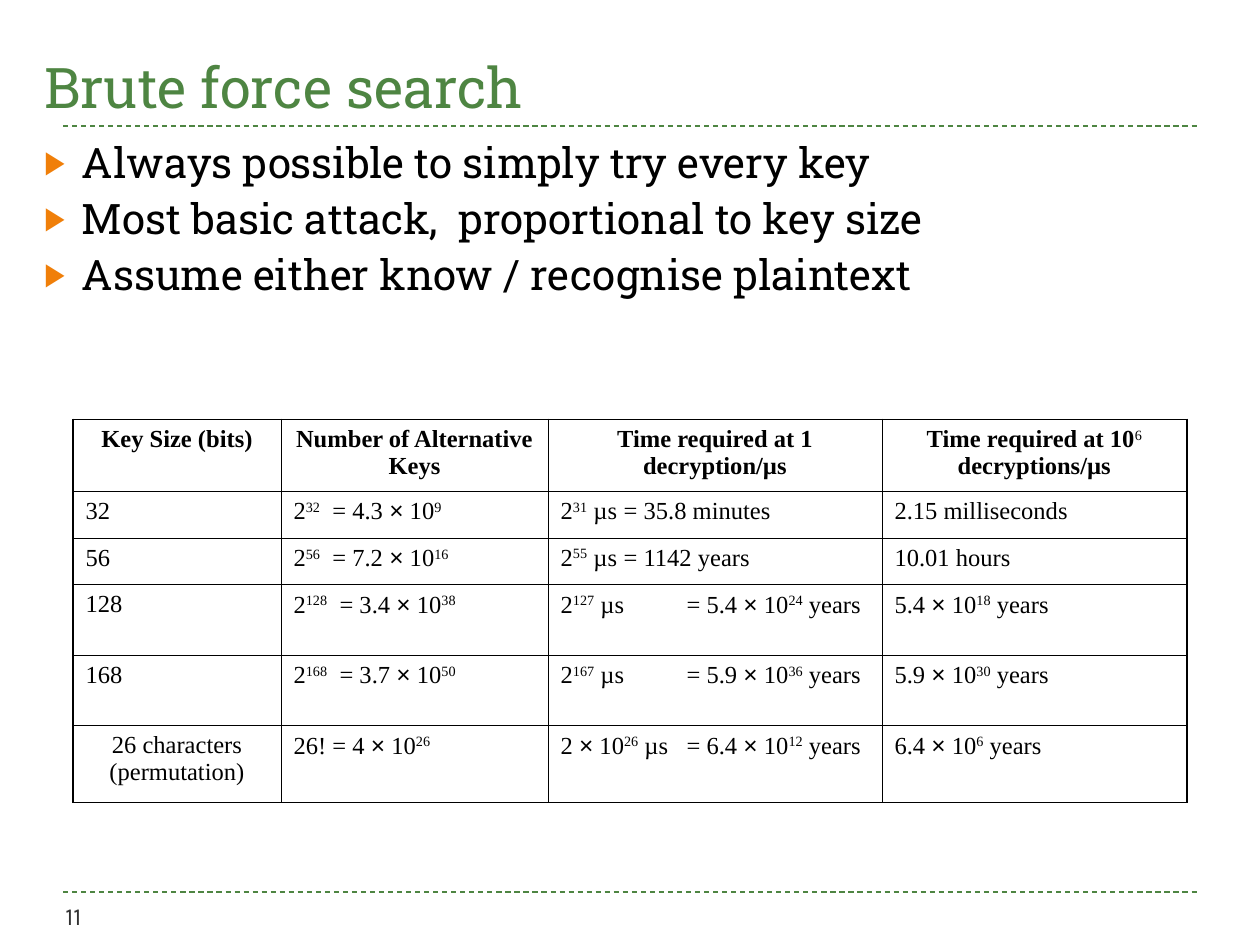
from dataclasses import dataclass

import lxml.etree
import pptx
import pptx.dml.color
import pptx.enum.dml
import pptx.enum.shapes
import pptx.enum.text
import pptx.oxml
import pptx.oxml.ns
import pptx.util
from pptx.util import Inches, Pt

ALIGN = pptx.enum.text.PP_ALIGN
ANCHOR = pptx.enum.text.MSO_ANCHOR


@dataclass(frozen=True)
class Theme:
    green: str = "4E8542"
    orange: str = "F07F09"
    black: str = "000000"
    grey: str = "323232"
    slab: str = "Roboto Slab"
    number_font: str = "Karla"
    table_font: str = "Times New Roman"
    symbol_font: str = "Arial"
    title_size: float = 32
    body_size: float = 24
    small_size: float = 14
    rule_width: float = 0.75
    outer_border: float = 1.08
    inner_border: float = 0.45


THEME = Theme()

BULLETS = [
    "Always possible to simply try every key",
    "Most basic attack,  proportional to key size",
    "Assume either know / recognise plaintext",
]

# Text between two carets is superscript.
KEY_TABLE = [
    ["Key Size (bits)", "Number of Alternative Keys",
     "Time required at 1 decryption/µs", "Time required at 10^6^ decryptions/µs"],
    ["32", "2^32^  = 4.3 × 10^9^", "2^31^ µs\t= 35.8 minutes", "2.15 milliseconds"],
    ["56", "2^56^  = 7.2 × 10^16^", "2^55^ µs\t= 1142 years", "10.01 hours"],
    ["128", "2^128^  = 3.4 × 10^38^", "2^127^ µs\t= 5.4 × 10^24^ years",
     "5.4 × 10^18^ years"],
    ["168", "2^168^  = 3.7 × 10^50^", "2^167^ µs\t= 5.9 × 10^36^ years",
     "5.9 × 10^30^ years"],
    ["26 characters (permutation)", "26! = 4 × 10^26^",
     "2 × 10^26^ µs\t= 6.4 × 10^12^ years", "6.4 × 10^6^ years"],
]
COLUMN_WIDTHS = [1.65, 2.12, 2.65, 2.42]
ROW_HEIGHTS = [0.57, 0.37, 0.37, 0.56, 0.56, 0.61]


def set_format(target, values):
    for name, value in values.items():
        setattr(target, name, value)


def add_run(p, text, font, size, color, bold=False):
    r = p.add_run()
    r.text = text
    set_format(r.font, {"name": font, "size": Pt(size), "bold": bold})
    r.font.color.rgb = pptx.dml.color.RGBColor.from_string(color)
    return r


def place(sp, left, top, width, height):
    set_format(sp, {"left": Inches(left), "top": Inches(top),
                    "width": Inches(width), "height": Inches(height)})


def add_rule(s, y):
    line = s.shapes.add_connector(pptx.enum.shapes.MSO_CONNECTOR.STRAIGHT,
                                  Inches(0.5), Inches(y), Inches(9.5), Inches(y))
    line.line.color.rgb = pptx.dml.color.RGBColor.from_string(THEME.green)
    set_format(line.line, {"width": Pt(THEME.rule_width),
                           "dash_style": pptx.enum.dml.MSO_LINE.DASH})
    lxml.etree.SubElement(line._element.spPr, pptx.oxml.ns.qn("a:effectLst"))


def fill_title(sp, text):
    place(sp, 0.25, 0.17, 9.5, 0.83)
    tf = sp.text_frame
    set_format(tf, {"vertical_anchor": ANCHOR.BOTTOM,
                    "auto_size": pptx.enum.text.MSO_AUTO_SIZE.NONE})
    p = tf.paragraphs[0]
    p.alignment = ALIGN.LEFT
    add_run(p, text, THEME.slab, THEME.title_size, THEME.green)


def add_bullet(p):
    pPr = p._p.get_or_add_pPr()
    set_format(pPr, {"marL": Inches(0.3), "indent": Inches(-0.3)})
    pPr.set("marL", str(Inches(0.3)))
    pPr.set("indent", str(Inches(-0.3)))
    color = lxml.etree.SubElement(pPr, pptx.oxml.ns.qn("a:buClr"))
    lxml.etree.SubElement(color, pptx.oxml.ns.qn("a:srgbClr"), val=THEME.orange)
    lxml.etree.SubElement(pPr, pptx.oxml.ns.qn("a:buSzPct"), val="76000")
    lxml.etree.SubElement(pPr, pptx.oxml.ns.qn("a:buFont"), typeface=THEME.symbol_font)
    lxml.etree.SubElement(pPr, pptx.oxml.ns.qn("a:buChar"), char="▶")


def fill_body(sp, items):
    place(sp, 0.25, 1.08, 9.5, 1.58)
    tf = sp.text_frame
    tf.auto_size = pptx.enum.text.MSO_AUTO_SIZE.NONE
    for i, item in enumerate(items):
        p = tf.add_paragraph() if i else tf.paragraphs[0]
        set_format(p, {"line_spacing": 0.9, "space_before": Pt(6), "space_after": Pt(0)})
        add_bullet(p)
        add_run(p, item, THEME.slab, THEME.body_size, THEME.black)


def add_formula(p, text, bold):
    """Write text with ^superscripts^ and the multiplication sign in its own font."""
    for i, part in enumerate(text.split("^")):
        raised = i % 2 == 1
        for piece in part.replace("×", "|×|").split("|"):
            if not piece:
                continue
            font = THEME.symbol_font if piece == "×" else THEME.table_font
            r = add_run(p, piece, font, THEME.small_size, THEME.black, bold and not raised)
            if raised:
                r.font._element.set("baseline", "30000")


def set_borders(cell, widths):
    """Draw the left, right, top and bottom borders, with widths in points."""
    tcPr = cell._tc.get_or_add_tcPr()
    for i, (side, width) in enumerate(zip("LRTB", widths)):
        tcPr.insert(i, pptx.oxml.parse_xml(
            f'<a:ln{side} {pptx.oxml.ns.nsdecls("a")} w="{Pt(width)}"><a:solidFill>'
            f'<a:srgbClr val="{THEME.black}"/></a:solidFill></a:ln{side}>'))


def add_key_table(s):
    n_rows, n_cols = len(ROW_HEIGHTS), len(COLUMN_WIDTHS)
    frame = s.shapes.add_table(n_rows, n_cols, Inches(0.58), Inches(3.33),
                               Inches(sum(COLUMN_WIDTHS)), Inches(sum(ROW_HEIGHTS)))
    table = frame.table
    set_format(table, {"first_row": False, "horz_banding": False})
    for column, width in zip(table.columns, COLUMN_WIDTHS):
        column.width = Inches(width)
    for row, height in zip(table.rows, ROW_HEIGHTS):
        row.height = Inches(height)
    for y, texts in enumerate(KEY_TABLE):
        for x, text in enumerate(texts):
            cell = table.cell(y, x)
            cell.fill.background()
            on_edge = (x == 0, x == n_cols - 1, y == 0, y == n_rows - 1)
            set_borders(cell, [THEME.outer_border if edge else THEME.inner_border
                               for edge in on_edge])
            p = cell.text_frame.paragraphs[0]
            centred = y == 0 or (x == 0 and y == n_rows - 1)
            set_format(p, {"alignment": ALIGN.CENTER if centred else ALIGN.LEFT,
                           "space_before": Pt(3), "space_after": Pt(3)})
            add_formula(p, text, bold=y == 0)


def add_page_number(s, text):
    sp = s.shapes.add_textbox(Inches(0.42), Inches(7.1), Inches(0.95), Inches(0.32))
    sp.text_frame.word_wrap = True
    add_run(sp.text_frame.paragraphs[0], text, THEME.number_font, THEME.small_size, THEME.grey)


def main():
    prs = pptx.Presentation()
    set_format(prs, {"slide_width": Inches(10), "slide_height": Inches(7.5)})
    s = prs.slides.add_slide(prs.slide_layouts[1])
    for y in (7.08, 1):
        add_rule(s, y)
    fill_title(s.shapes.title, "Brute force search")
    fill_body(s.placeholders[1], BULLETS)
    add_page_number(s, "11")
    add_key_table(s)
    prs.save("out.pptx")


if __name__ == "__main__":
    main()
